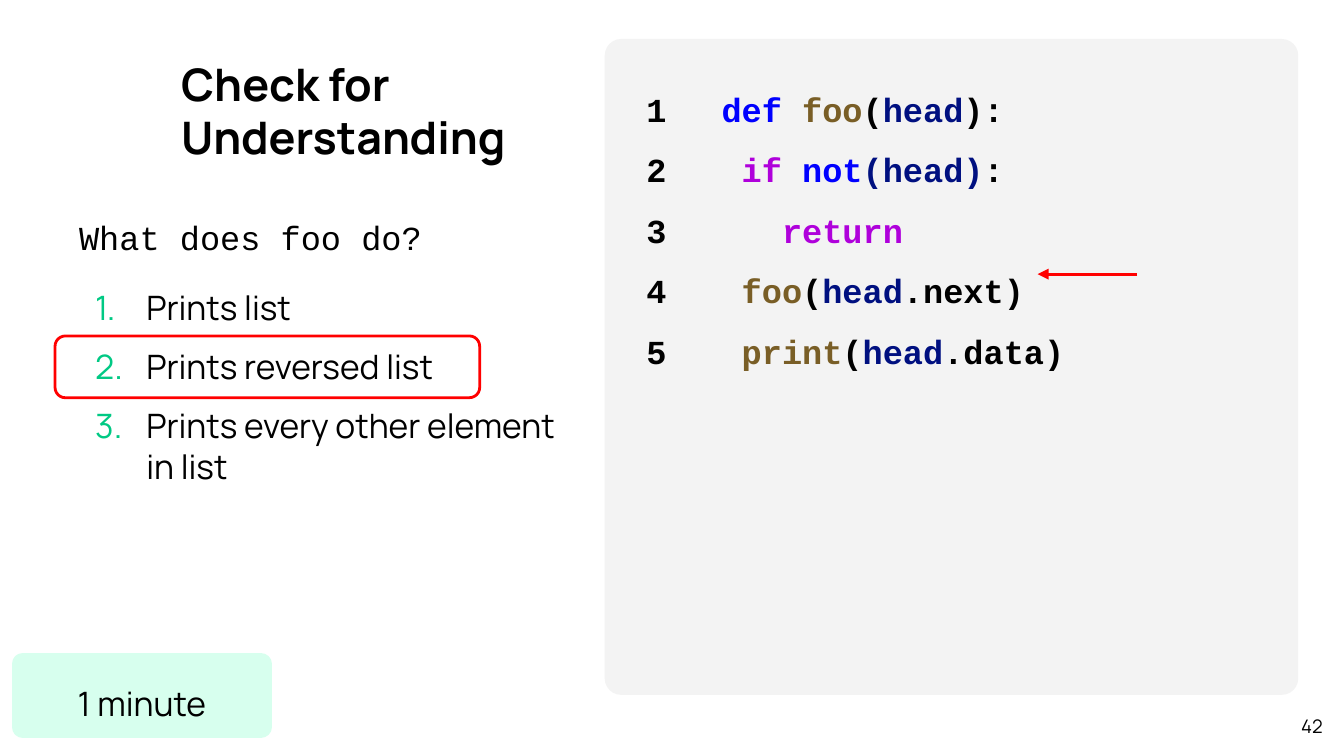
from lxml import etree
from pptx import Presentation
from pptx import util as u
from pptx.dml.color import RGBColor
from pptx.enum import shapes, text
from pptx.oxml.ns import qn

SANS, MONO = "Manrope", "Courier New"
BLACK, BLUE, NAVY, BROWN, PURPLE = "000000", "0000FF", "001080", "795E26", "AF00DB"
GREEN, MINT, GREY, RED = "00C984", "D7FFEE", "F3F3F3", "FF0000"


def color(value):
    return RGBColor.from_string(value)


def add_child(parent, tag, **attributes):
    return etree.SubElement(parent, qn(tag), attributes)


def write(para, content, size=18, font=SANS, ink=BLACK, bold=False):
    span = para.add_run()
    span.text = content
    span.font.size = u.Pt(size)
    span.font.name = font
    span.font.bold = bold
    span.font.color.rgb = color(ink)


def number(para, scheme, ink, font, margin, hanging):
    props = para._p.get_or_add_pPr()
    props.set("marL", str(u.Inches(margin)))
    props.set("indent", str(-u.Inches(hanging)))
    add_child(add_child(props, "a:buClr"), "a:srgbClr", val=ink)
    add_child(props, "a:buFont", typeface=font)
    add_child(props, "a:buAutoNum", type=scheme)


def next_para(frame, index):
    return frame.add_paragraph() if index else frame.paragraphs[0]


class SlideBuilder:
    def __init__(self, slide):
        self.shapes = slide.shapes

    def frame(self, box, anchor=text.MSO_ANCHOR.TOP):
        frame = box.text_frame
        frame.word_wrap = True
        frame.vertical_anchor = anchor
        frame.margin_left = frame.margin_right = u.Inches(0.1)
        frame.margin_top = frame.margin_bottom = u.Inches(0.1)
        return frame

    def text_box(self, *place, anchor=text.MSO_ANCHOR.TOP):
        box = self.shapes.add_textbox(*map(u.Inches, place))
        return self.frame(box, anchor)

    def panel(self, kind, *place, fill=None, line=None, width=1.5, corner=None):
        panel = self.shapes.add_shape(kind, *map(u.Inches, place))
        panel.shadow.inherit = False
        if corner is not None:
            panel.adjustments[0] = corner
        if fill:
            panel.fill.solid()
            panel.fill.fore_color.rgb = color(fill)
        else:
            panel.fill.background()
        if line:
            panel.line.color.rgb = color(line)
            panel.line.width = u.Pt(width)
            add_child(panel.line._get_or_add_ln(), "a:round")
        else:
            panel.line.fill.background()
        return panel

    def arrow(self, *ends, ink=RED, width=1.5):
        arrow = self.shapes.add_connector(
            shapes.MSO_CONNECTOR.STRAIGHT, *map(u.Inches, ends))
        arrow.line.color.rgb = color(ink)
        arrow.line.width = u.Pt(width)
        add_child(arrow.line._get_or_add_ln(), "a:tailEnd", type="triangle")
        add_child(arrow._element.spPr, "a:effectLst")


def main():
    deck = Presentation()
    deck.slide_width = u.Inches(10)
    deck.slide_height = deck.slide_width * 9 // 16
    page = SlideBuilder(deck.slides.add_slide(deck.slide_layouts[6]))
    rounded = shapes.MSO_SHAPE.ROUNDED_RECTANGLE

    page.panel(rounded, 4.5, 0.29, 5.16, 4.88, fill=GREY, corner=0.025)

    title = page.text_box(1.25, 0.35, 2.9, 0.97, anchor=text.MSO_ANCHOR.BOTTOM)
    for index, line in enumerate(["Check for", "Understanding"]):
        write(next_para(title, index), line, size=24, bold=True)

    question = page.text_box(0.49, 1.47, 3.8, 3.2)
    question.paragraphs[0].line_spacing = 1.15
    write(question.paragraphs[0], "What does foo do?", font=MONO)
    answers = ["Prints list", "Prints reversed list",
               "Prints every other element in list"]
    for index, answer in enumerate(answers):
        para = question.add_paragraph()
        number(para, "arabicPeriod", GREEN, SANS, 0.5, 0.38)
        para.space_before = u.Pt(10 if index else 16)
        write(para, answer)

    page_number = page.text_box(9.34, 5.24, 0.6, 0.33, anchor=text.MSO_ANCHOR.MIDDLE)
    page_number.paragraphs[0].alignment = text.PP_ALIGN.RIGHT
    write(page_number.paragraphs[0], "42", size=10)

    code_lines = [
        [("def ", BLUE), ("foo", BROWN), ("(", BLACK), ("head", NAVY), ("):", BLACK)],
        [(" ", BLACK), ("if ", PURPLE), ("not", BLUE), ("(head)", NAVY), (":", BLACK)],
        [("   ", BLACK), ("return", PURPLE)],
        [(" ", BLACK), ("foo", BROWN), ("(", BLACK), ("head", NAVY), (".next)", BLACK)],
        [(" ", BLACK), ("print", BROWN), ("(", BLACK), ("head", NAVY), (".data)", BLACK)],
    ]
    code = page.text_box(4.65, 0.41, 4.89, 4.61)
    for index, tokens in enumerate(code_lines):
        para = next_para(code, index)
        number(para, "arabicPlain", BLACK, MONO, 0.62, 0.56)
        para.line_spacing = 1.5
        for token, ink in tokens:
            write(para, token, font=MONO, ink=ink, bold=True)

    timer = page.frame(page.panel(shapes.MSO_SHAPE.RECTANGLE, 0.17, 4.94, 1.77, 0.47,
                                  fill=MINT, line=MINT, width=12))
    timer.paragraphs[0].alignment = text.PP_ALIGN.CENTER
    timer.paragraphs[0].line_spacing = 1.15
    write(timer.paragraphs[0], "1 minute")

    page.panel(rounded, 0.41, 2.5, 3.16, 0.46, line=RED, corner=0.167)
    page.arrow(8.46, 2.04, 7.72, 2.04)

    deck.save("out.pptx")


if __name__ == "__main__":
    main()
